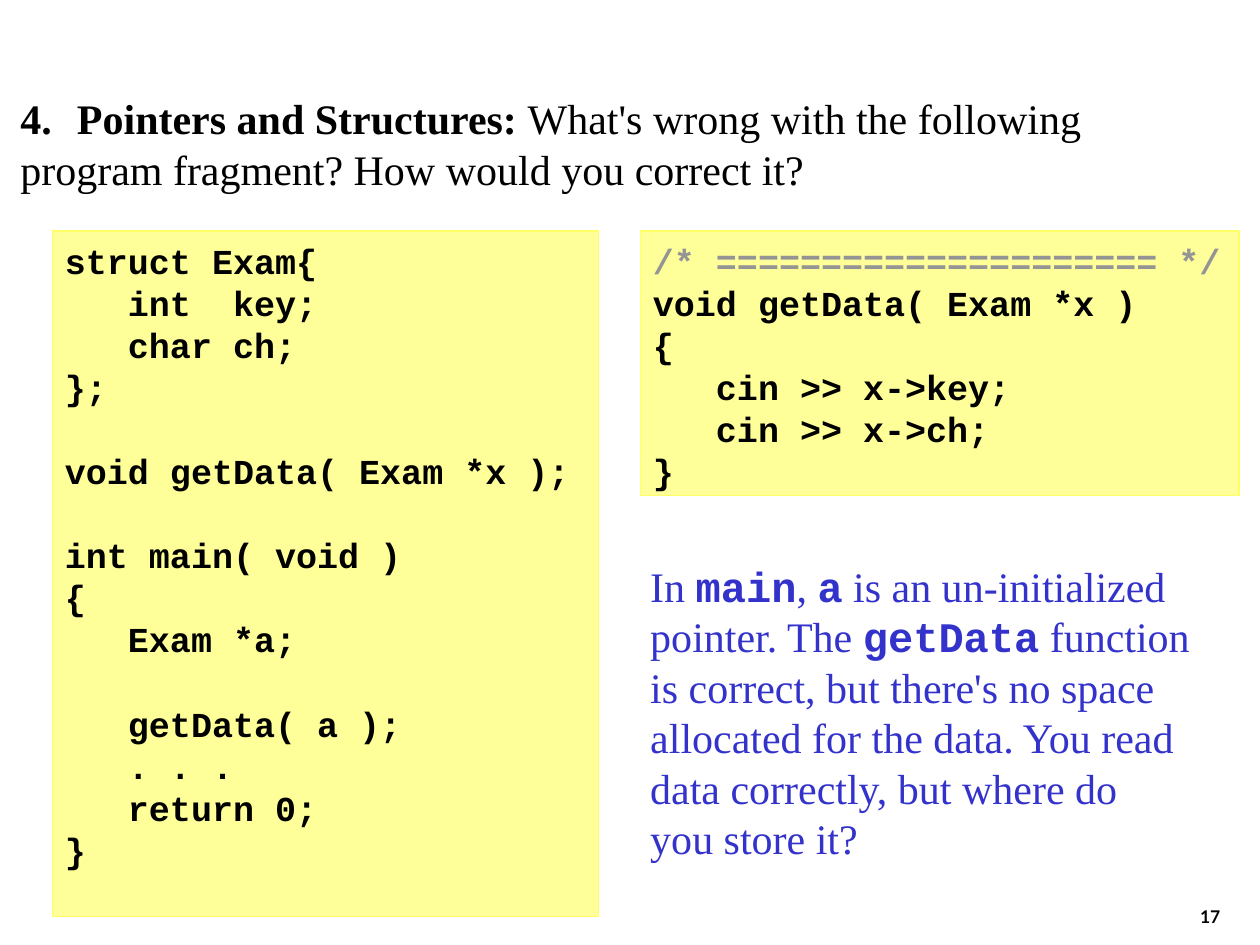
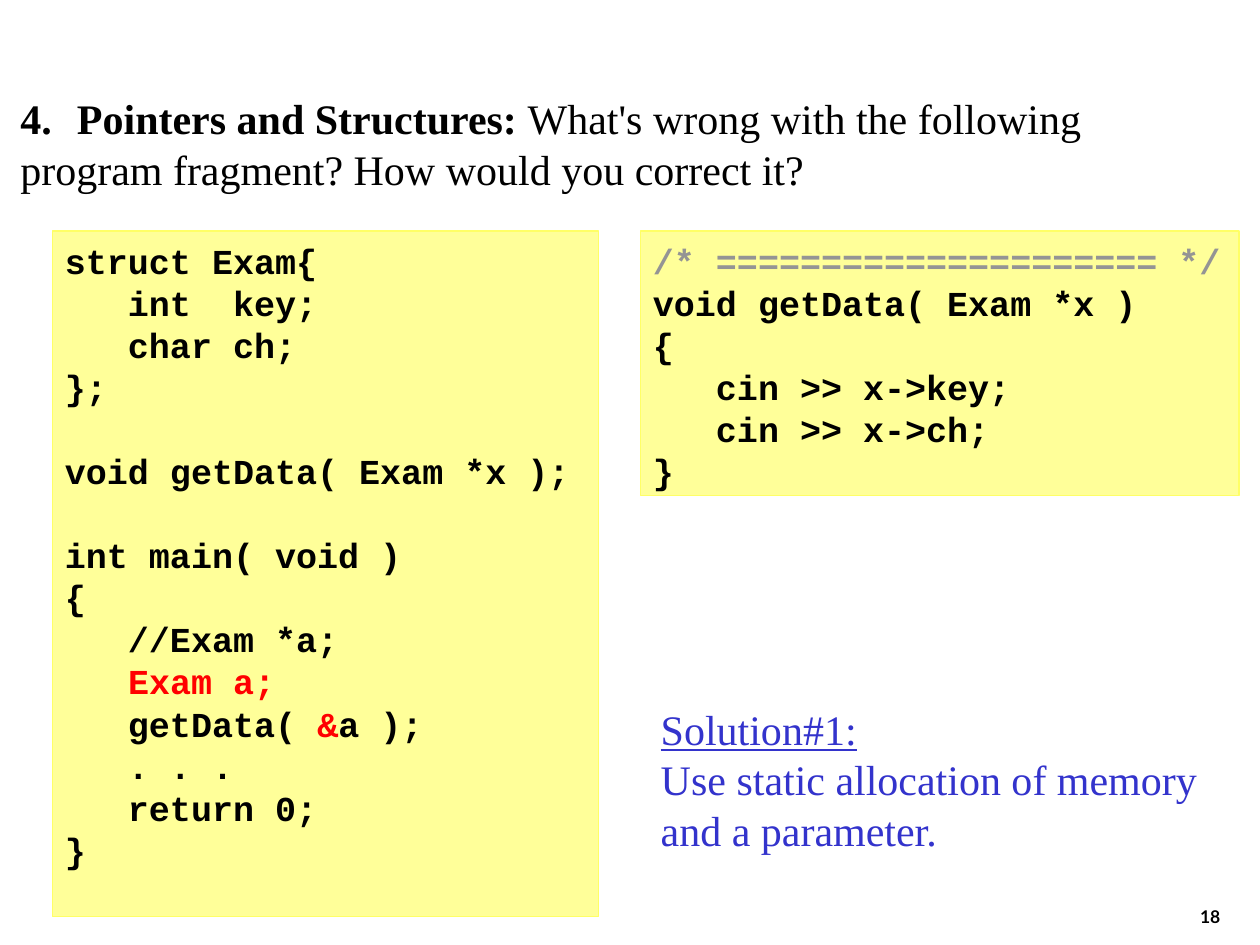
from pptx import Presentation
from pptx.dml.color import RGBColor
from pptx.enum.shapes import MSO_SHAPE
from pptx.enum.text import MSO_ANCHOR, PP_ALIGN
from pptx.util import Inches, Pt

BLACK = RGBColor(0x00, 0x00, 0x00)
GREY = RGBColor(0x94, 0x94, 0x94)
RED = RGBColor(0xFF, 0x00, 0x00)
BLUE = RGBColor(0x33, 0x33, 0xCC)
PALE_YELLOW = RGBColor(0xFF, 0xFF, 0x99)
YELLOW = RGBColor(0xFF, 0xFF, 0x66)
SERIF, MONO, SANS = "Times New Roman", "Courier New", "Lato"
LEADING = 1.2

# Grid of 120 columns by 90 rows; boxes are column, row, columns, rows
WIDTH, HEIGHT = Inches(10), Inches(7.5)
COL, ROW = WIDTH / 120, HEIGHT / 90
TITLE_BOX = (0.75, 8.25, 116.5, 10.8)
MAIN_BOX = (5, 22, 52, 65.3)
FUNCTION_BOX = (61, 22, 57, 25.2)
NUMBER_BOX = (92.4, 82.9, 25, 6)

# Lines are a string, or a list of strings and (string, format) pairs
TITLE = [
    [("4.", {"bold": True}), (" ", {"font": MONO, "bold": True}),
     ("Pointers and Structures: ", {"bold": True}),
     "What's wrong with the following"],
    "program fragment? How would you correct it?",
]
DECLARATIONS = """struct Exam{
   int  key;
   char ch;
};

void getData( Exam *x );

int main( void )
{""".split("\n")
ENDING = ["   . . .", "   return 0;", "}"]
FUNCTION = [
    [("/* ===================== */", {"color": GREY})],
    "void getData( Exam *x )",
    "{",
    "   cin >> x->key;",
    "   cin >> x->ch;",
    "}",
]
CODE_WORD = {"font": MONO, "bold": True}


def place(box):
    x, y, w, h = box
    return int(x * COL), int(y * ROW), int(w * COL), int(h * ROW)


def add_run(p, text, font=SERIF, size=24, color=BLACK, bold=False,
            underline=False):
    r = p.add_run()
    r.text = text
    r.font.name, r.font.size, r.font.bold = font, Pt(size), bold
    r.font.color.rgb = color
    if underline:
        r.font.underline = True


def write(tf, lines, align=PP_ALIGN.LEFT, size=24, **style):
    """Write one paragraph per line; an empty line becomes space before."""
    tf.word_wrap = True
    p, gap = None, 0
    for line in lines:
        if not line:
            gap += size * LEADING
            continue
        p = tf.add_paragraph() if p else tf.paragraphs[0]
        p.alignment = align
        p.line_spacing = Pt(size * LEADING)
        if gap:
            p.space_before = Pt(gap)
        gap = 0
        for part in [line] if isinstance(line, str) else line:
            text, extra = (part, {}) if isinstance(part, str) else part
            add_run(p, text, **{"size": size, **style, **extra})


def add_text(s, box, lines, anchor=MSO_ANCHOR.TOP, **style):
    tf = s.shapes.add_textbox(*place(box)).text_frame
    tf.vertical_anchor = anchor
    write(tf, lines, **style)


def add_code(s, box, lines):
    sp = s.shapes.add_shape(MSO_SHAPE.RECTANGLE, *place(box))
    sp.shadow.inherit = False
    sp.fill.solid()
    sp.fill.fore_color.rgb = PALE_YELLOW
    sp.line.color.rgb = YELLOW
    sp.line.width = Pt(0.75)
    tf = sp.text_frame
    tf.vertical_anchor = MSO_ANCHOR.TOP
    tf.margin_top = Inches(0.07)
    write(tf, lines, font=MONO, size=20, bold=True)


def add_question(prs, number, main_body, answer_box, answer):
    s = prs.slides.add_slide(prs.slide_layouts[6])
    # Slide number and question
    add_text(s, NUMBER_BOX, [str(number)], anchor=MSO_ANCHOR.BOTTOM,
             align=PP_ALIGN.RIGHT, font=SANS, size=10, bold=True)
    add_text(s, TITLE_BOX, TITLE)
    # Answer
    add_text(s, answer_box, answer, color=BLUE)
    # Program fragment
    add_code(s, MAIN_BOX, DECLARATIONS + main_body + ENDING)
    add_code(s, FUNCTION_BOX, FUNCTION)


def main():
    prs = Presentation()
    prs.slide_width, prs.slide_height = WIDTH, HEIGHT

    # The faulty program
    add_question(
        prs, 17,
        ["   Exam *a;", "", "   getData( a );"],
        (60.75, 52.8, 55.2, 30),
        [["In ", ("main", CODE_WORD), ", ", ("a", CODE_WORD),
          " is an un-initialized"],
         ["pointer. The ", ("getData", CODE_WORD), " function"],
         "is correct, but there's no space",
         "allocated for the data. You read",
         "data correctly, but where do",
         "you store it?"])

    # The first solution
    add_question(
        prs, 18,
        ["   //Exam *a;",
         ["   ", ("Exam a;", {"color": RED})],
         ["   getData( ", ("&", {"color": RED}), "a );"]],
        (61.75, 66.4, 55.2, 15.6),
        [[("Solution#1:", {"underline": True})],
         "Use static allocation of memory",
         "and a parameter."])

    prs.save("out.pptx")


if __name__ == "__main__":
    main()
